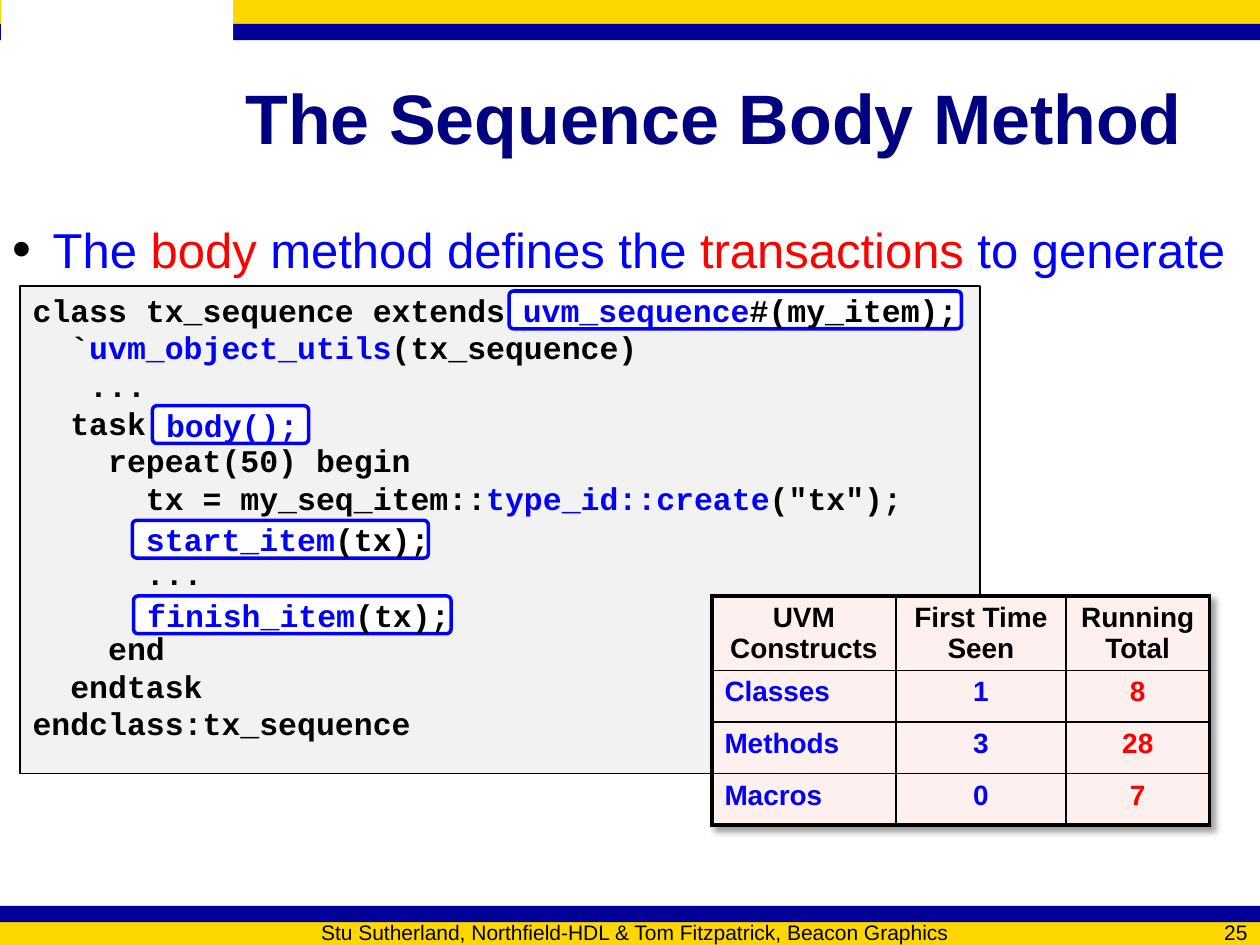
from pptx import Presentation
from pptx.dml.color import RGBColor
from pptx.enum.shapes import MSO_SHAPE
from pptx.enum.text import MSO_ANCHOR, PP_ALIGN
from pptx.oxml import parse_xml
from pptx.oxml.ns import nsdecls
from pptx.util import Inches, Pt

BLACK, BLUE, RED = "000000", "0000FF", "FF0000"
GOLD, NAVY, WHITE = "FFD700", "000099", "FFFFFF"
CODE_LINE = 21.5

# Each entry: blank lines left above for a callout, then (text, colour) spans
CODE = [
    (0, [("class tx_sequence extends", BLACK)]),
    (0, [("  `", BLACK), ("uvm_object_utils", BLUE), ("(tx_sequence)", BLACK)]),
    (0, [("   ...", BLACK)]),
    (0, [("  task", BLACK)]),
    (0, [("    repeat(50) begin", BLACK)]),
    (0, [("      tx = my_seq_item::", BLACK), ("type_id::create", BLUE),
         ('("tx");', BLACK)]),
    (1, [("      ...", BLACK)]),
    (1, [("    end", BLACK)]),
    (0, [("  endtask", BLACK)]),
    (0, [("endclass:tx_sequence", BLACK)]),
]
CALLOUTS = [
    (4.04, 2.31, 3.59, [("uvm_sequence", BLUE), ("#(my_item);", BLACK)]),
    (1.21, 3.22, 1.24, [("body();", BLUE)]),
    (1.05, 4.13, 2.35, [("start_item", BLUE), ("(tx);", BLACK)]),
    (1.06, 4.73, 2.52, [("finish_item", BLUE), ("(tx);", BLACK)]),
]
COUNTS = [
    ["UVM Constructs", "First Time Seen", "Running Total"],
    ["Classes", "1", "8"],
    ["Methods", "3", "28"],
    ["Macros", "0", "7"],
]


def rgb(color):
    return RGBColor.from_string(color)


def add_spans(para, spans, size, font="Arial", bold=False):
    for text, color in spans:
        span = para.add_run()
        span.text = text
        span.font.size = Pt(size)
        span.font.name = font
        span.font.bold = bold
        span.font.color.rgb = rgb(color)


def set_frame(frame, anchor, top=0.05, right=0.1, wrap=True):
    frame.word_wrap = wrap
    frame.vertical_anchor = anchor
    frame.margin_top = frame.margin_bottom = Inches(top)
    frame.margin_right = Inches(right)


def add_box(page, kind, left, top, width, height, fill, line=None, weight=1):
    box = page.shapes.add_shape(kind, Inches(left), Inches(top),
                                Inches(width), Inches(height))
    box.shadow.inherit = False
    box.fill.solid()
    box.fill.fore_color.rgb = rgb(fill)
    if line:
        box.line.color.rgb = rgb(line)
        box.line.width = Pt(weight)
    else:
        box.line.fill.background()
    return box


def add_text(page, left, top, width, height, spans, size, bold=False,
             align=PP_ALIGN.LEFT, anchor=MSO_ANCHOR.MIDDLE, inset=0.05):
    box = page.shapes.add_textbox(Inches(left), Inches(top),
                                  Inches(width), Inches(height))
    set_frame(box.text_frame, anchor, inset)
    para = box.text_frame.paragraphs[0]
    para.alignment = align
    add_spans(para, spans, size, bold=bold)
    return para


def add_bullet(para):
    properties = para._p.get_or_add_pPr()
    properties.set("marL", str(Inches(0.32)))
    properties.set("indent", str(-Inches(0.32)))
    ns = nsdecls("a")
    for xml in (f'<a:buClr {ns}><a:srgbClr val="{BLACK}"/></a:buClr>',
                f'<a:buSzPct {ns} val="110000"/>',
                f'<a:buFont {ns} typeface="Arial"/>',
                f'<a:buChar {ns} char="•"/>'):
        properties.append(parse_xml(xml))


def add_bands(page):
    for top, height, color in [(0, 0.19, GOLD), (0.19, 0.13, NAVY),
                               (7.31, 0.19, GOLD), (7.19, 0.13, NAVY)]:
        add_box(page, MSO_SHAPE.RECTANGLE, 0, top, 10, height, color)
    add_box(page, MSO_SHAPE.RECTANGLE, 0.01, 0, 1.84, 1.08, WHITE)


def add_code(page):
    box = add_box(page, MSO_SHAPE.RECTANGLE, 0.16, 2.27, 7.62, 3.87, "F2F2F2", BLACK)
    frame = box.text_frame
    set_frame(frame, MSO_ANCHOR.TOP, 0.04)
    for index, (skipped, spans) in enumerate(CODE):
        para = frame.add_paragraph() if index else frame.paragraphs[0]
        para.alignment = PP_ALIGN.LEFT
        para.line_spacing = Pt(CODE_LINE)
        para.space_before = Pt(CODE_LINE * skipped)
        add_spans(para, spans, 18, "Courier New", True)


def add_callout(page, left, top, width, spans):
    box = add_box(page, MSO_SHAPE.ROUNDED_RECTANGLE, left, top, width, 0.3,
                  WHITE, BLUE, 2)
    box.adjustments[0] = 0.12
    set_frame(box.text_frame, MSO_ANCHOR.MIDDLE, 0, 0, wrap=False)
    para = box.text_frame.paragraphs[0]
    para.alignment = PP_ALIGN.LEFT
    add_spans(para, spans, 18, "Courier New", True)


def set_borders(cell, outer_sides):
    """Draw all four borders, heavier on the table's outer sides."""
    properties = cell._tc.get_or_add_tcPr()
    for position, side in enumerate("LRTB"):
        width = Pt(2.25 if side in outer_sides else 1)
        properties.insert(position, parse_xml(
            f'<a:ln{side} {nsdecls("a")} w="{width}"><a:solidFill>'
            f'<a:srgbClr val="{BLACK}"/></a:solidFill></a:ln{side}>'))


def add_counts(page):
    widths, heights = [1.46, 1.35, 1.14], [0.59, 0.41, 0.41, 0.41]
    frame = page.shapes.add_table(len(heights), len(widths), Inches(5.65), Inches(4.73),
                                  Inches(sum(widths)), Inches(sum(heights)))
    table = frame.table
    table.first_row = table.horz_banding = False
    table._tbl.tblPr.insert(0, parse_xml(
        f'<a:effectLst {nsdecls("a")}><a:outerShdw blurRad="50800" dist="38100" '
        f'dir="2700000" algn="tl" rotWithShape="0"><a:srgbClr val="{BLACK}">'
        '<a:alpha val="40000"/></a:srgbClr></a:outerShdw></a:effectLst>'))
    for column, width in zip(table.columns, widths):
        column.width = Inches(width)
    for row, height in zip(table.rows, heights):
        row.height = Inches(height)
    last_row, last_column = len(heights) - 1, len(widths) - 1
    for r, texts in enumerate(COUNTS):
        for c, text in enumerate(texts):
            cell = table.cell(r, c)
            cell.margin_bottom = 0
            cell.fill.solid()
            cell.fill.fore_color.rgb = rgb("FFF0F0")
            para = cell.text_frame.paragraphs[0]
            is_label = r > 0 and c == 0
            para.alignment = PP_ALIGN.LEFT if is_label else PP_ALIGN.CENTER
            color = BLACK if r == 0 else RED if c == last_column else BLUE
            add_spans(para, [(text, color)], 16, bold=True)
            outer = {"T": r == 0, "B": r == last_row, "L": c == 0, "R": c == last_column}
            set_borders(cell, [side for side in outer if outer[side]])


def main():
    deck = Presentation()
    deck.slide_width, deck.slide_height = Inches(10), Inches(7.5)
    page = deck.slides.add_slide(deck.slide_layouts[6])
    add_bands(page)
    add_text(page, 1.85, 0.3, 8, 1.25, [("The Sequence Body Method", "000080")], 40, True)
    credit = "Stu Sutherland, Northfield-HDL & Tom Fitzpatrick, Beacon Graphics"
    add_text(page, 1.25, 7.31, 7.58, 0.17, [(credit, BLACK)], 12,
             align=PP_ALIGN.CENTER, inset=0)
    add_text(page, 9, 7.31, 1, 0.17, [("25", BLACK)], 12, align=PP_ALIGN.RIGHT, inset=0)
    statement = add_text(page, 0, 1.69, 10, 5.43, [
        ("The ", BLUE), ("body ", RED), ("method defines the ", BLUE),
        ("transactions ", RED), ("to generate", BLUE)], 28, anchor=MSO_ANCHOR.TOP)
    statement.space_before = Pt(3)
    add_bullet(statement)
    add_code(page)
    for callout in CALLOUTS:
        add_callout(page, *callout)
    add_counts(page)
    deck.save("out.pptx")


if __name__ == "__main__":
    main()
